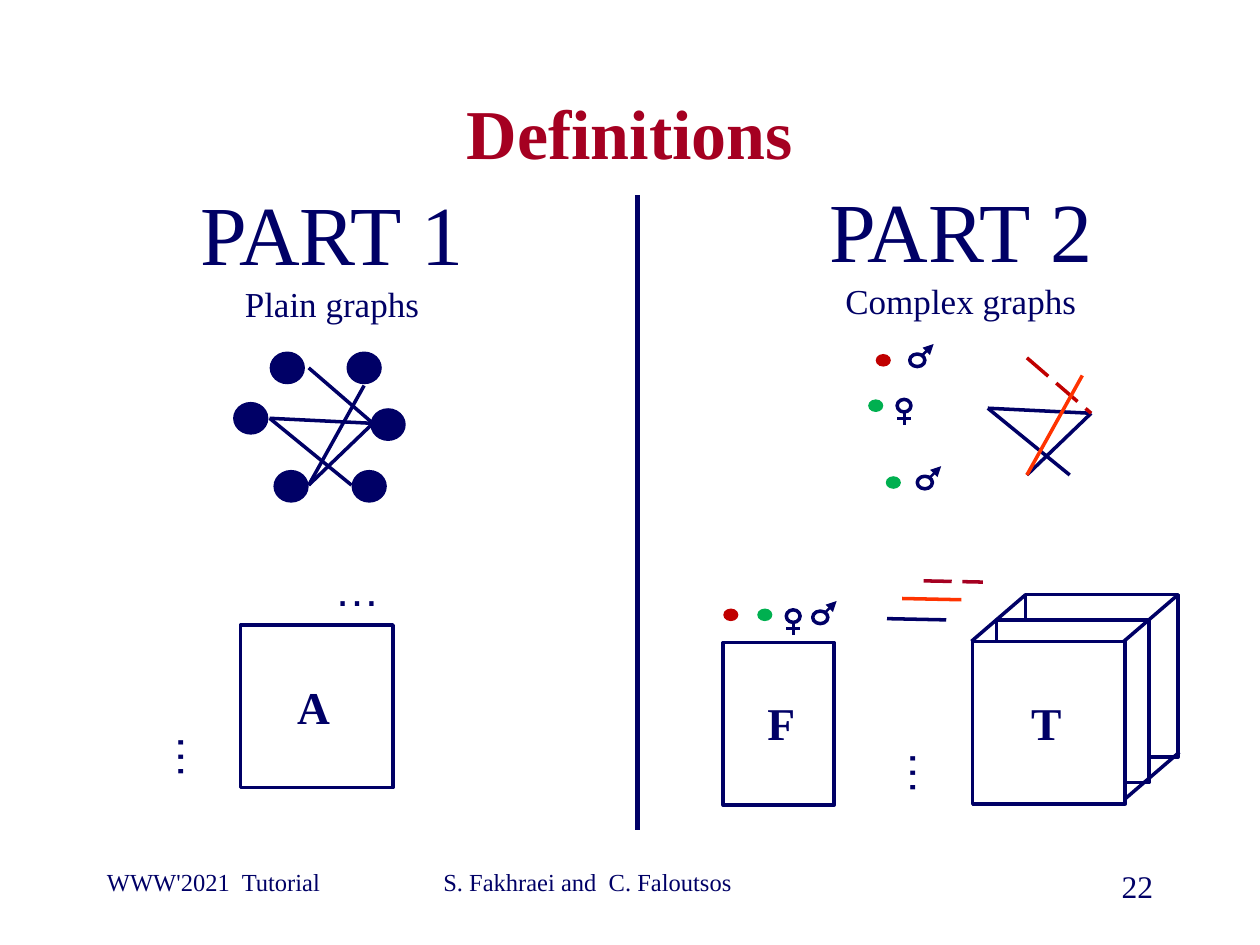
"""Build the Definitions slide comparing plain and complex graphs."""
from lxml import etree
from pptx import Presentation
from pptx.dml.color import RGBColor
from pptx.enum.dml import MSO_LINE
from pptx.enum.shapes import MSO_CONNECTOR, MSO_SHAPE
from pptx.enum.text import MSO_ANCHOR, MSO_AUTO_SIZE, PP_ALIGN
from pptx.oxml.ns import qn
from pptx.util import Inches, Pt

LEFT, CENTER, RIGHT = PP_ALIGN.LEFT, PP_ALIGN.CENTER, PP_ALIGN.RIGHT
RECTANGLE, OVAL = MSO_SHAPE.RECTANGLE, MSO_SHAPE.OVAL
STRAIGHT, LONG_DASH = MSO_CONNECTOR.STRAIGHT, MSO_LINE.LONG_DASH
MIDDLE = MSO_ANCHOR.MIDDLE
FIT_SHAPE, FIT_NONE = MSO_AUTO_SIZE.SHAPE_TO_FIT_TEXT, MSO_AUTO_SIZE.NONE
NAVY, CRIMSON, ORANGE = "000066", "A50021", "FF3300"
RED, GREEN, WHITE = "C00000", "00B050", "FFFFFF"
SERIF, SANS = "Times New Roman", "Arial"
color = RGBColor.from_string

deck = Presentation()
deck.slide_width, deck.slide_height = Inches(10), Inches(7.5)
page = deck.slides.add_slide(deck.slide_layouts[5])


def add_line(start, end, hue=NAVY, width=2, dash=None, arrow=False):
    """Draw a straight line between two points."""
    line = page.shapes.add_connector(STRAIGHT, *map(Inches, start + end))
    line.line.color.rgb = color(hue)
    line.line.width = Pt(width)
    if dash:
        line.line.dash_style = dash
    if arrow:
        etree.SubElement(line.line._get_or_add_ln(), qn("a:tailEnd"), type="triangle")
    etree.SubElement(line._element.spPr, qn("a:effectLst"))


def add_shape(kind, corner, size, fill=None, outline=None):
    """Draw a rectangle or oval with an optional fill and outline."""
    shape = page.shapes.add_shape(kind, *map(Inches, corner + size))
    shape.shadow.inherit = False
    if fill:
        shape.fill.solid()
        shape.fill.fore_color.rgb = color(fill)
    else:
        shape.fill.background()
    if outline:
        shape.line.color.rgb = color(outline)
        shape.line.width = Pt(2)
    else:
        shape.line.fill.background()


title = page.shapes.title
title.left, title.top = Inches(0.75), Inches(0.67)
title.width, title.height = Inches(8.5), Inches(0.75)
title.text_frame.text = "Definitions"
title.text_frame.vertical_anchor = MIDDLE
para = title.text_frame.paragraphs[0]
para.alignment = CENTER
para.font.name, para.font.size, para.font.bold = SERIF, Pt(40), True
para.font.color.rgb = color(CRIMSON)

add_line((5.06, 1.55), (5.06, 6.59), width=3)

left_node, hub = (2.14, 3.32), (2.96, 3.36)
upper_node, lower_node = (2.45, 2.92), (2.45, 3.85)
plain_edges = [
    (left_node, hub), (hub, lower_node), (upper_node, hub),
    (left_node, (2.79, 3.85)), (lower_node, (2.89, 3.06)),
]
for start, end in plain_edges:
    add_line(start, end)
for corner in [(2.14, 2.79), (1.85, 3.19), (2.17, 3.73),
               (2.75, 2.79), (2.94, 3.24), (2.79, 3.73)]:
    add_shape(OVAL, corner, (0.28, 0.26), NAVY)

left_node, hub = (7.84, 3.24), (8.66, 3.28)
upper_node, lower_node = (8.15, 2.84), (8.15, 3.77)
complex_edges = [
    (left_node, hub, NAVY, None),
    (hub, lower_node, NAVY, None),
    (upper_node, hub, RED, LONG_DASH),
    (left_node, (8.49, 3.77), NAVY, None),
    (lower_node, (8.59, 2.98), ORANGE, None),
]
for start, end, hue, dash in complex_edges:
    add_line(start, end, hue, dash=dash)

for x, y in [(7.22, 2.81), (7.28, 3.78), (6.45, 4.85)]:
    add_shape(OVAL, (x, y), (0.12, 0.1), outline=NAVY)
    add_line((x + 0.1, y + 0.01), (x + 0.19, y - 0.08), width=1.5, arrow=True)
for x, y in [(7.12, 3.17), (6.24, 4.84)]:
    add_shape(OVAL, (x, y), (0.11, 0.1), outline=NAVY)
    add_line((x + 0.06, y + 0.1), (x + 0.06, y + 0.2), width=1.5)
    add_line((x, y + 0.15), (x + 0.11, y + 0.15))
for corner, hue in [((6.95, 2.81), RED), ((6.89, 3.17), GREEN), ((7.03, 3.78), GREEN),
                    ((5.74, 4.83), RED), ((6.01, 4.83), GREEN)]:
    add_shape(OVAL, corner, (0.12, 0.1), hue)

matrix_size = (1.21, 1.29)
add_shape(RECTANGLE, (1.91, 4.96), matrix_size, outline=NAVY)
add_shape(RECTANGLE, (5.74, 5.1), (0.88, 1.29), outline=NAVY)
for corner, fill in [((8.14, 4.72), None), ((7.91, 4.92), WHITE), ((7.72, 5.09), WHITE)]:
    add_shape(RECTANGLE, corner, matrix_size, fill, NAVY)
for x, y in [(7.71, 5.09), (8.92, 5.09), (8.93, 6.34)]:
    add_line((x, y), (x + 0.43, y - 0.37))
for x, y, hue, dash in [(7.04, 4.91, NAVY, None), (7.16, 4.75, ORANGE, None),
                        (7.33, 4.61, CRIMSON, LONG_DASH)]:
    add_line((x, y), (x + 0.47, y + 0.01), hue, dash=dash)

labels = [
    ((1.48, 1.39, 2.31, 1.25), [("PART 1", 48), ("Plain graphs", 20)], SERIF, CENTER, False, 0),
    ((6.47, 1.37, 2.31, 1.25), [("PART 2", 48), ("Complex graphs", 20)], SERIF, CENTER, False, 0),
    ((2.26, 5.34, 0.46, 0.54), [("A", 26)], SERIF, CENTER, True, 0),
    ((5.99, 5.47, 0.42, 0.54), [("F", 26)], SERIF, CENTER, True, 0),
    ((8.08, 5.47, 0.45, 0.54), [("T", 26)], SERIF, CENTER, True, 0),
    ((2.55, 4.4, 0.57, 0.54), [("…", 26)], SANS, CENTER, False, 0),
    ((1.27, 5.74, 0.57, 0.54), [("…", 26)], SANS, CENTER, False, 90),
    ((7.08, 5.87, 0.57, 0.54), [("…", 26)], SANS, CENTER, False, 90),
    ((0.75, 6.83, 2.08, 0.5), [("WWW'2021  Tutorial", 14)], SERIF, LEFT, False, 0),
    ((3.42, 6.83, 3.17, 0.5), [("S. Fakhraei and  C. Faloutsos", 14)], SERIF, LEFT, False, 0),
    ((7.17, 6.83, 2.08, 0.5), [("22", 18)], SERIF, RIGHT, False, 0),
]
for area, rows, typeface, alignment, bold, rotation in labels:
    box = page.shapes.add_textbox(*map(Inches, area))
    box.rotation = rotation
    frame = box.text_frame
    frame.word_wrap = alignment != CENTER
    frame.auto_size = FIT_SHAPE if alignment == CENTER else FIT_NONE
    frame.text = "\n".join(text for text, size in rows)
    for para, (text, size) in zip(frame.paragraphs, rows):
        para.alignment = alignment
        para.font.name, para.font.size, para.font.bold = typeface, Pt(size), bold
        para.font.color.rgb = color(NAVY)

deck.save("out.pptx")
